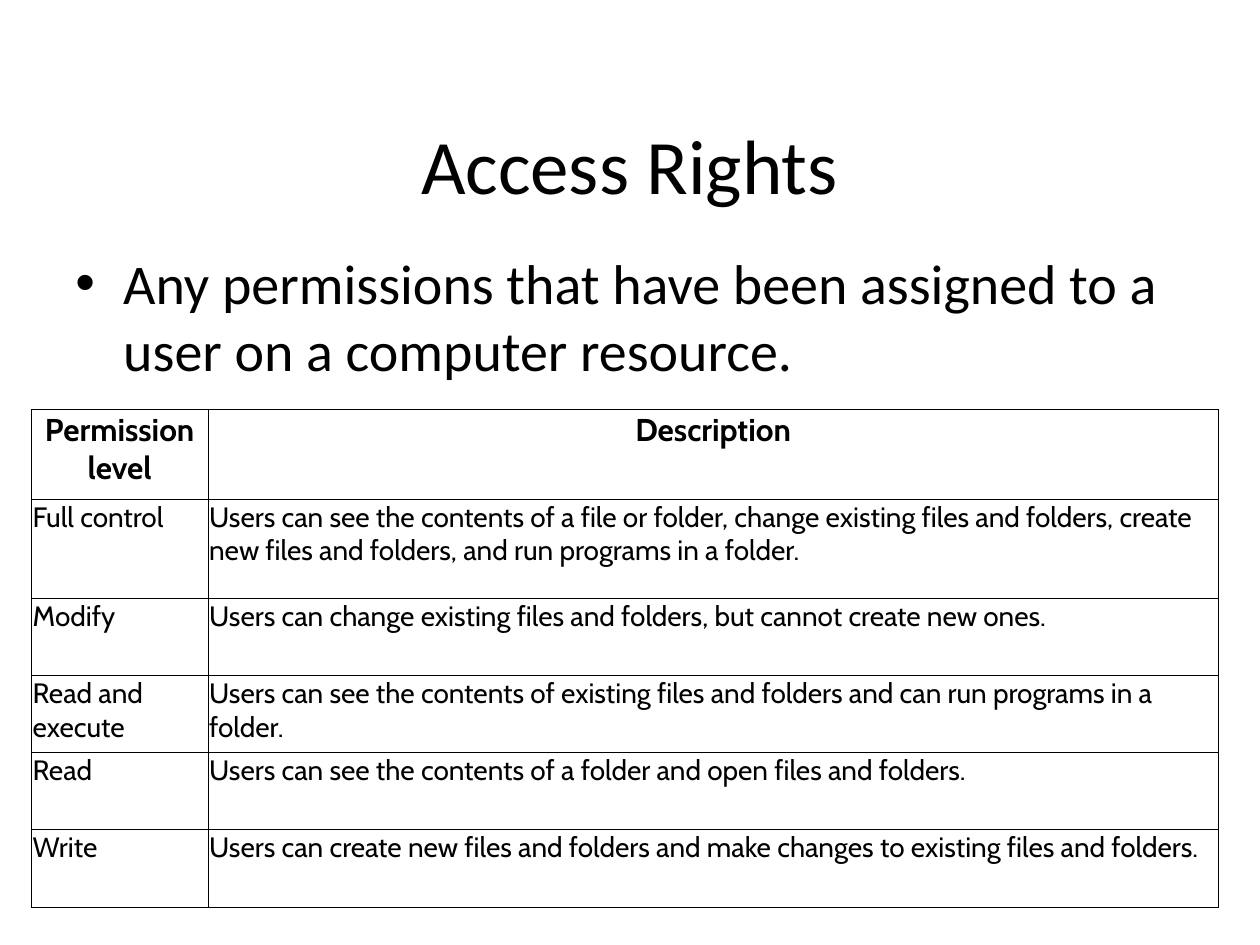
from dataclasses import dataclass

from lxml import etree
from pptx import Presentation
from pptx.dml.color import RGBColor
from pptx.enum.text import MSO_ANCHOR, PP_ALIGN
from pptx.oxml.ns import qn
from pptx.util import Inches, Pt

CENTER, LEFT = PP_ALIGN.CENTER, PP_ALIGN.LEFT
TOP, MIDDLE = MSO_ANCHOR.TOP, MSO_ANCHOR.MIDDLE


@dataclass(frozen=True)
class Theme:
    ink: str = "000000"
    paper: str = "FFFFFF"
    text_font: str = "Calibri"
    table_font: str = "Cabin"
    title_size: int = 44
    body_size: int = 32
    header_size: int = 18
    cell_size: int = 16
    border_width: float = 0.5


class SlideBuilder:
    """Places elements on a grid of 40 columns by 30 rows."""

    def __init__(self, presentation, theme):
        self.theme = theme
        self.column = presentation.slide_width / 40
        self.row = presentation.slide_height / 30
        self.slide = presentation.slides.add_slide(presentation.slide_layouts[6])
        fill = self.slide.background.fill
        fill.solid()
        fill.fore_color.rgb = RGBColor.from_string(theme.paper)

    def place(self, left, top, width, height):
        return (round(left * self.column), round(top * self.row),
                round(width * self.column), round(height * self.row))

    def style(self, paragraph, font_name, size, align=LEFT, bold=False):
        paragraph.alignment = align
        for run in paragraph.runs:
            run.font.name = font_name
            run.font.size = Pt(size)
            run.font.bold = bold
            run.font.color.rgb = RGBColor.from_string(self.theme.ink)

    def text(self, content, area, size, align=LEFT, anchor=TOP):
        text_frame = self.slide.shapes.add_textbox(*self.place(*area)).text_frame
        text_frame.word_wrap = True
        text_frame.vertical_anchor = anchor
        text_frame.text = content
        paragraph = text_frame.paragraphs[0]
        self.style(paragraph, self.theme.text_font, size, align)
        return paragraph

    def bullet(self, content, area, size):
        properties = self.text(content, area, size)._p.get_or_add_pPr()
        indent = Inches(0.38)
        properties.set("marL", str(indent))
        properties.set("indent", str(-indent))
        etree.SubElement(properties, qn("a:buFont"), typeface="Arial")
        etree.SubElement(properties, qn("a:buChar"), char="•")

    def border(self, cell):
        properties = cell._tc.get_or_add_tcPr()
        for side in ("L", "R", "T", "B"):
            line = etree.SubElement(properties, qn(f"a:ln{side}"),
                                    w=str(Pt(self.theme.border_width)))
            fill = etree.SubElement(line, qn("a:solidFill"))
            etree.SubElement(fill, qn("a:srgbClr"), val=self.theme.ink)

    def table(self, records, left, top, widths, heights):
        area = self.place(left, top, sum(widths), sum(heights))
        table = self.slide.shapes.add_table(len(records), len(widths), *area).table
        table.first_row = table.horz_banding = False
        for column, width in zip(table.columns, widths):
            column.width = round(width * self.column)
        for index, (row, height, record) in enumerate(zip(table.rows, heights, records)):
            row.height = round(height * self.row)
            header = index == 0
            size = self.theme.header_size if header else self.theme.cell_size
            for cell, content in zip(row.cells, record):
                cell.text = content
                cell.margin_left = cell.margin_right = cell.margin_top = Inches(0.01)
                cell.margin_bottom = 0
                self.border(cell)
                cell.fill.background()
                self.style(cell.text_frame.paragraphs[0], self.theme.table_font, size,
                           CENTER if header else LEFT, header)


PERMISSIONS = [
    ("Permission level", "Description"),
    ("Full control", "Users can see the contents of a file or folder, change existing "
     "files and folders, create new files and folders, and run programs in a folder."),
    ("Modify", "Users can change existing files and folders, but cannot create new ones."),
    ("Read and execute", "Users can see the contents of existing files and folders "
     "and can run programs in a folder."),
    ("Read", "Users can see the contents of a folder and open files and folders."),
    ("Write", "Users can create new files and folders and make changes to existing "
     "files and folders."),
]


def main():
    presentation = Presentation()
    presentation.slide_width = Inches(10)
    presentation.slide_height = Inches(7.5)
    theme = Theme()
    builder = SlideBuilder(presentation, theme)

    # Title and definition
    builder.text("Access Rights", (2, 2.68, 36, 5), theme.title_size, CENTER, MIDDLE)
    builder.bullet("Any permissions that have been assigned to a user on a computer resource.",
                   (2, 7.68, 36, 18.48), theme.body_size)

    # Permission levels
    builder.table(PERMISSIONS, 1, 13, widths=(5.6, 32.08),
                  heights=(2.84, 3.16) + (2.45,) * 4)

    presentation.save("out.pptx")


if __name__ == "__main__":
    main()
